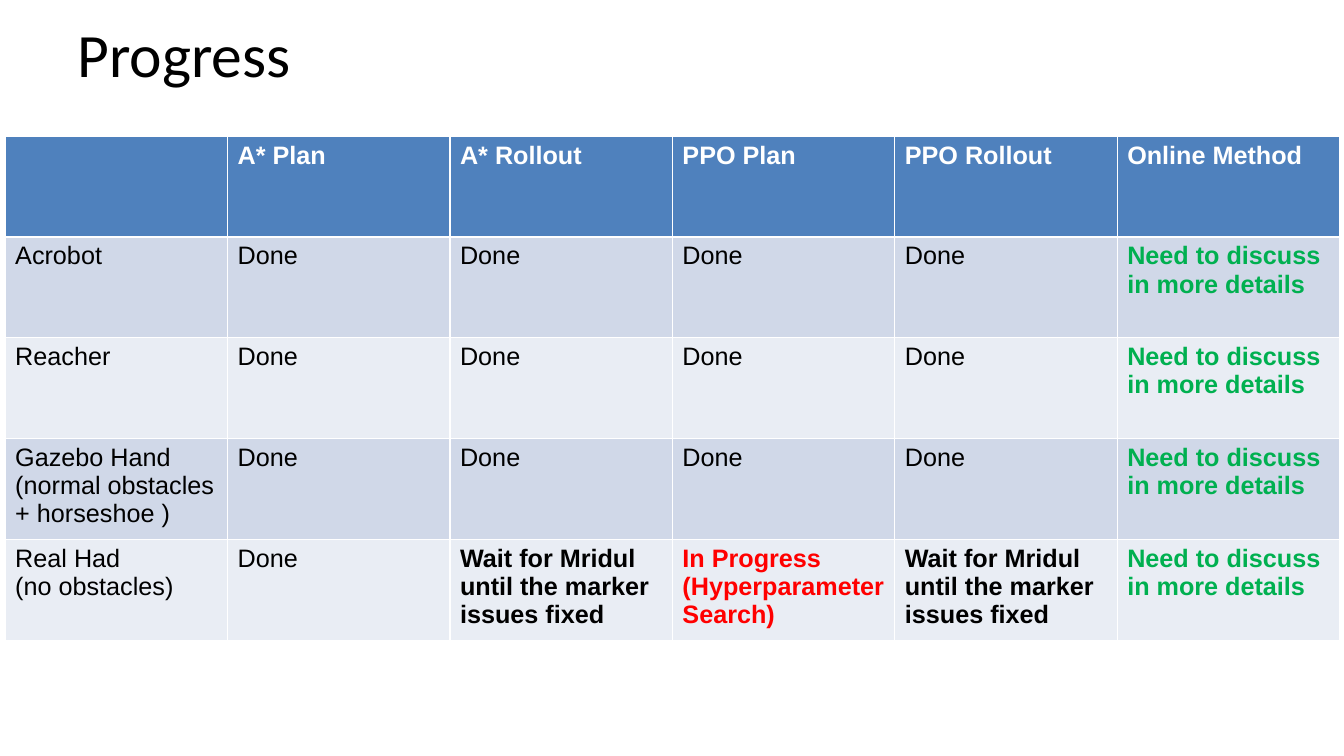
from pptx import Presentation
from pptx.dml.color import RGBColor
from pptx.enum.text import MSO_ANCHOR, MSO_AUTO_SIZE, PP_ALIGN
from pptx.util import Cm, Pt

LEFT = PP_ALIGN.LEFT
MIDDLE = MSO_ANCHOR.MIDDLE
NO_AUTOFIT = MSO_AUTO_SIZE.NONE
TITLE_ONLY = 5

BLACK = RGBColor(0x00, 0x00, 0x00)
WHITE = RGBColor(0xFF, 0xFF, 0xFF)
GREEN = RGBColor(0x00, 0xB0, 0x50)
RED = RGBColor(0xFF, 0x00, 0x00)
HEADER_BLUE = RGBColor(0x4F, 0x81, 0xBD)
BAND_DARK = RGBColor(0xD0, 0xD8, 0xE8)
BAND_LIGHT = RGBColor(0xE9, 0xED, 0xF4)

TITLE_FORMAT = {"name": "Calibri", "size": Pt(44), "bold": False}
PLAIN = {"name": "Arial", "size": Pt(18), "bold": False}
BOLD = {**PLAIN, "bold": True}

DONE = "Done"
DISCUSS = "Need to discuss in more details"
WAIT = "Wait for Mridul\nuntil the marker issues fixed"
SEARCH = "In Progress\n(Hyperparameter Search)"

STATUS_STYLES = {
    DISCUSS: (BOLD, GREEN),
    WAIT: (BOLD, BLACK),
    SEARCH: (BOLD, RED),
}

HEADER = ["", "A* Plan", "A* Rollout", "PPO Plan", "PPO Rollout", "Online Method"]
TASKS = [
    ["Acrobot", DONE, DONE, DONE, DONE, DISCUSS],
    ["Reacher", DONE, DONE, DONE, DONE, DISCUSS],
    ["Gazebo Hand\n(normal obstacles + horseshoe )", DONE, DONE, DONE, DONE, DISCUSS],
    ["Real Had\n(no obstacles)", DONE, WAIT, SEARCH, WAIT, DISCUSS],
]


def write_text(text_frame, text, font_format, color):
    text_frame.text = text
    for paragraph in text_frame.paragraphs:
        paragraph.alignment = LEFT
        for run in paragraph.runs:
            for attribute, value in font_format.items():
                setattr(run.font, attribute, value)
            run.font.color.rgb = color


def format_title(title, text):
    placement = {"left": Cm(1.7), "top": Cm(0.43), "width": Cm(29.21), "height": Cm(2.06)}
    for attribute, value in placement.items():
        setattr(title, attribute, value)
    text_frame = title.text_frame
    write_text(text_frame, text, TITLE_FORMAT, BLACK)
    text_frame.auto_size = NO_AUTOFIT
    text_frame.vertical_anchor = MIDDLE
    text_frame.paragraphs[0].line_spacing = 0.9


def fill_row(row, texts, fill_color, styles, default_style):
    for cell, text in zip(row.cells, texts):
        cell.fill.solid()
        cell.fill.fore_color.rgb = fill_color
        font_format, color = styles.get(text, default_style)
        write_text(cell.text_frame, text, font_format, color)


def add_progress_table(slide):
    frame = slide.shapes.add_table(
        len(TASKS) + 1, len(HEADER), Cm(0.13), Cm(3.43), Cm(33.63), Cm(12.7)
    )
    header_row, *task_rows = frame.table.rows
    fill_row(header_row, HEADER, HEADER_BLUE, {}, (BOLD, WHITE))
    for index, (row, texts) in enumerate(zip(task_rows, TASKS)):
        band = BAND_LIGHT if index % 2 else BAND_DARK
        fill_row(row, texts, band, STATUS_STYLES, (PLAIN, BLACK))


def main():
    presentation = Presentation()
    presentation.slide_width = Cm(33.87)
    presentation.slide_height = Cm(19.05)
    slide = presentation.slides.add_slide(presentation.slide_layouts[TITLE_ONLY])
    format_title(slide.shapes.title, "Progress")
    add_progress_table(slide)
    presentation.save("out.pptx")


if __name__ == "__main__":
    main()
